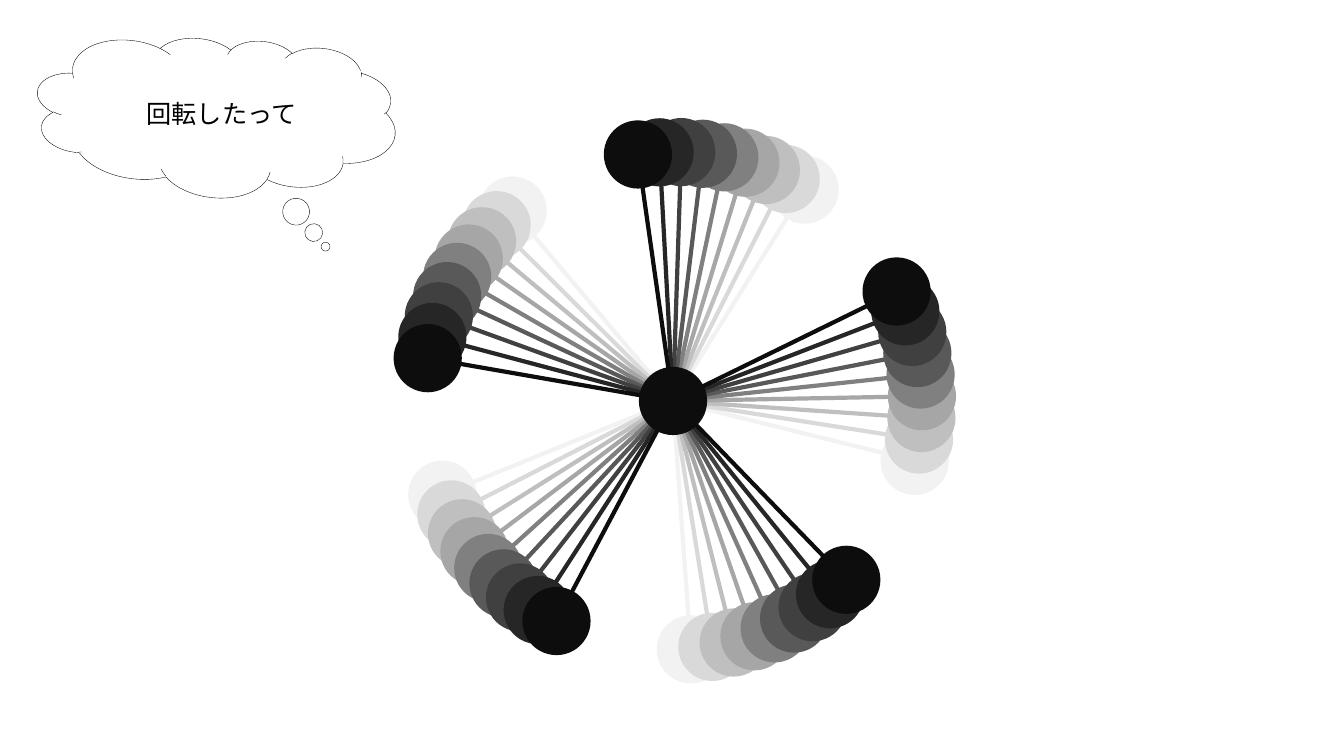
from math import cos, radians, sin

from lxml.etree import SubElement
from pptx import Presentation
from pptx.dml.color import RGBColor
from pptx.enum.shapes import MSO_CONNECTOR as Connector
from pptx.enum.shapes import MSO_SHAPE as Preset
from pptx.enum.text import MSO_ANCHOR as Anchor
from pptx.enum.text import PP_ALIGN as Align
from pptx.oxml.ns import qn
from pptx.util import Emu, Pt

SLIDE_WIDTH, SLIDE_HEIGHT = 1344, 756
EMU_PER_PX = 12192000 / SLIDE_WIDTH
FONT = "Noto Sans CJK JP"

# Frames of the motion, from the oldest ghost to the present
FRAME_COLORS = ["F2F2F2", "D9D9D9", "BFBFBF", "A6A6A6", "808080",
                "595959", "404040", "262626", "0D0D0D"]
ARM_COUNT = 5
START_ANGLE = 13.9
FRAME_STEP = -5
BALL_SIZE = 64
LINE_WIDTH = 3

# Left, top, width, height within the cloud's box, then rotation
CLOUD_COVERS = [
    (278, 98, 36, 15, 62.5),
    (21, 79, 21, 12, 0),
    (328, 76, 21, 12, 337.6),
]


def px(length):
    return Emu(round(length * EMU_PER_PX))


def color(hex_string):
    return RGBColor.from_string(hex_string)


def add_shape(shapes, preset, box, fill, line=None, line_width=LINE_WIDTH, rotation=0):
    shape = shapes.add_shape(preset, *map(px, box))
    shape.shadow.inherit = False
    shape.rotation = rotation
    shape.fill.solid()
    shape.fill.fore_color.rgb = color(fill)
    if line:
        shape.line.color.rgb = color(line)
        shape.line.width = Pt(line_width)
    else:
        shape.line.fill.background()
    return shape


def add_line(shapes, start, end, line):
    connector = shapes.add_connector(Connector.STRAIGHT, *map(px, (*start, *end)))
    connector.line.color.rgb = color(line)
    connector.line.width = Pt(LINE_WIDTH)
    SubElement(connector._element.spPr, qn("a:effectLst"))


def add_ball(shapes, center, ball_color):
    x, y = center
    box = (x - BALL_SIZE / 2, y - BALL_SIZE / 2, BALL_SIZE, BALL_SIZE)
    add_shape(shapes, Preset.OVAL, box, ball_color, ball_color)


def write_text(shape, text, size=18, text_color="000000", align=Align.CENTER,
               anchor=Anchor.MIDDLE):
    frame = shape.text_frame
    frame.word_wrap = True
    frame.vertical_anchor = anchor
    paragraph = frame.paragraphs[0]
    paragraph.alignment = align
    run = paragraph.add_run()
    run.text = text
    run.font.size = Pt(size)
    run.font.name = FONT
    run.font.color.rgb = color(text_color)
    SubElement(run.font._element, qn("a:ea"), typeface=FONT)


def add_wheel_frame(slide, center, radius, start_angle, frame_color):
    """Draw the arms and their balls at one moment of the rotation."""
    shapes = slide.shapes.add_group_shape().shapes
    center_x, center_y = center
    angles = [radians(start_angle + 360 / ARM_COUNT * arm) for arm in range(ARM_COUNT)]
    tips = [(center_x + radius * cos(angle), center_y + radius * sin(angle))
            for angle in angles]
    for tip in tips:
        add_line(shapes, center, tip, frame_color)
    for tip in tips:
        add_ball(shapes, tip, frame_color)


def add_wheel(slide, left, top, size):
    center = (left + size / 2, top + size / 2)
    radius = (size - BALL_SIZE) / 2
    for index, frame_color in enumerate(FRAME_COLORS):
        add_wheel_frame(slide, center, radius, START_ANGLE + FRAME_STEP * index, frame_color)
    add_ball(slide.shapes, center, FRAME_COLORS[-1])


def add_thought_cloud(slide, left, top, width, height, text):
    """Draw a thought cloud whose inner curves are covered in white."""
    shapes = slide.shapes.add_group_shape().shapes
    cloud = add_shape(shapes, Preset.CLOUD_CALLOUT, (left, top, width, height),
                      "FFFFFF", "000000", line_width=0.25, rotation=6.6)
    cloud.adjustments[0] = 0.344
    cloud.adjustments[1] = 0.725
    for x, y, cover_width, cover_height, rotation in CLOUD_COVERS:
        add_shape(shapes, Preset.RECTANGLE, (left + x, top + y, cover_width, cover_height),
                  "FFFFFF", rotation=rotation)
    label = add_shape(shapes, Preset.RECTANGLE, (left + 46, top + 35, 279, 85), "FFFFFF")
    write_text(label, text)


def main():
    presentation = Presentation()
    presentation.slide_width = px(SLIDE_WIDTH)
    presentation.slide_height = px(SLIDE_HEIGHT)
    slide = presentation.slides.add_slide(presentation.slide_layouts[6])
    add_wheel(slide, 392, 120, 562)
    add_thought_cloud(slide, 36, 36, 360, 161, "回転したって")
    presentation.save("out.pptx")


if __name__ == "__main__":
    main()
